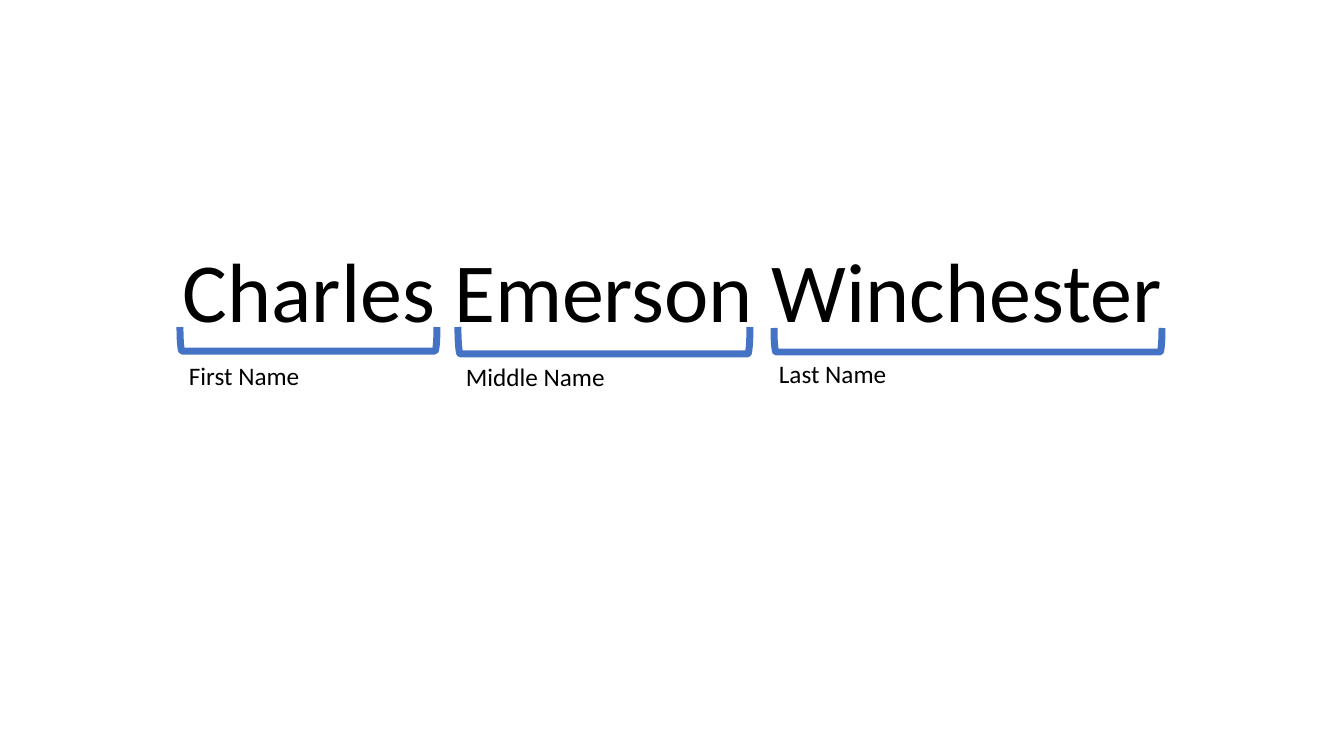
from pptx import Presentation
from pptx.dml.color import RGBColor
from pptx.enum.shapes import MSO_SHAPE as Shape
from pptx.enum.text import MSO_ANCHOR as Anchor, MSO_AUTO_SIZE as AutoSize, PP_ALIGN as Align
from pptx.oxml.ns import qn
from pptx.util import Pt
from lxml import etree

EMU_PER_INCH = 914400
PX_PER_INCH = 100.8
COLORS = {"text": "000000", "bracket": "4472C4", "background": "FFFFFF"}


def px(length):
    return round(length * EMU_PER_INCH / PX_PER_INCH)


def write_text(frame, text, size, align=Align.LEFT, line_spacing=None, space_before=0):
    paragraph = frame.paragraphs[0]
    paragraph.alignment = align
    paragraph.line_spacing = line_spacing
    paragraph.space_before = Pt(space_before)
    run = paragraph.add_run()
    run.text = text
    run.font.name = "Calibri"
    run.font.size = Pt(size)
    run.font.color.rgb = RGBColor.from_string(COLORS["text"])
    return paragraph


presentation = Presentation()
presentation.slide_width = px(1344)
presentation.slide_height = px(756)
slide = presentation.slides.add_slide(presentation.slide_layouts[1])
slide.background.fill.solid()
slide.background.fill.fore_color.rgb = RGBColor.from_string(COLORS["background"])

# Full name in the body placeholder, without bullet; the title is not used
title = slide.shapes.title.element
title.getparent().remove(title)
full_name = slide.placeholders[1]
full_name.left, full_name.top = px(93), px(245)
full_name.width, full_name.height = px(1159), px(221)
full_name.text_frame.vertical_anchor = Anchor.TOP
paragraph = write_text(full_name.text_frame, "Charles Emerson Winchester", size=60,
                       align=Align.CENTER, line_spacing=0.9, space_before=10)
properties = paragraph._p.get_or_add_pPr()
properties.set("marL", "0")
properties.set("indent", "0")
etree.SubElement(properties, qn("a:buNone"))

# Each part of the name: bracket as seen (left, top, width, height), label (left, top, width)
name_parts = [
    ("First Name", (180, 327, 257, 24), (179, 355, 132)),
    ("Middle Name", (458, 327, 292, 27), (456, 356, 161)),
    ("Last Name", (774, 328, 388, 24), (769, 353, 129)),
]
for label, (left, top, width, height), (label_left, label_top, label_width) in name_parts:
    # A left bracket turned about its centre, so it opens upwards
    shift = (width - height) / 2
    bracket = slide.shapes.add_shape(Shape.LEFT_BRACKET, px(left + shift), px(top - shift),
                                     px(height), px(width))
    bracket.rotation = 270
    bracket.shadow.inherit = False
    bracket.fill.background()
    bracket.line.color.rgb = RGBColor.from_string(COLORS["bracket"])
    bracket.line.width = Pt(5)

    label_box = slide.shapes.add_textbox(px(label_left), px(label_top), px(label_width), px(40))
    label_box.text_frame.word_wrap = False
    label_box.text_frame.auto_size = AutoSize.SHAPE_TO_FIT_TEXT
    write_text(label_box.text_frame, label, size=18)

presentation.save("out.pptx")
